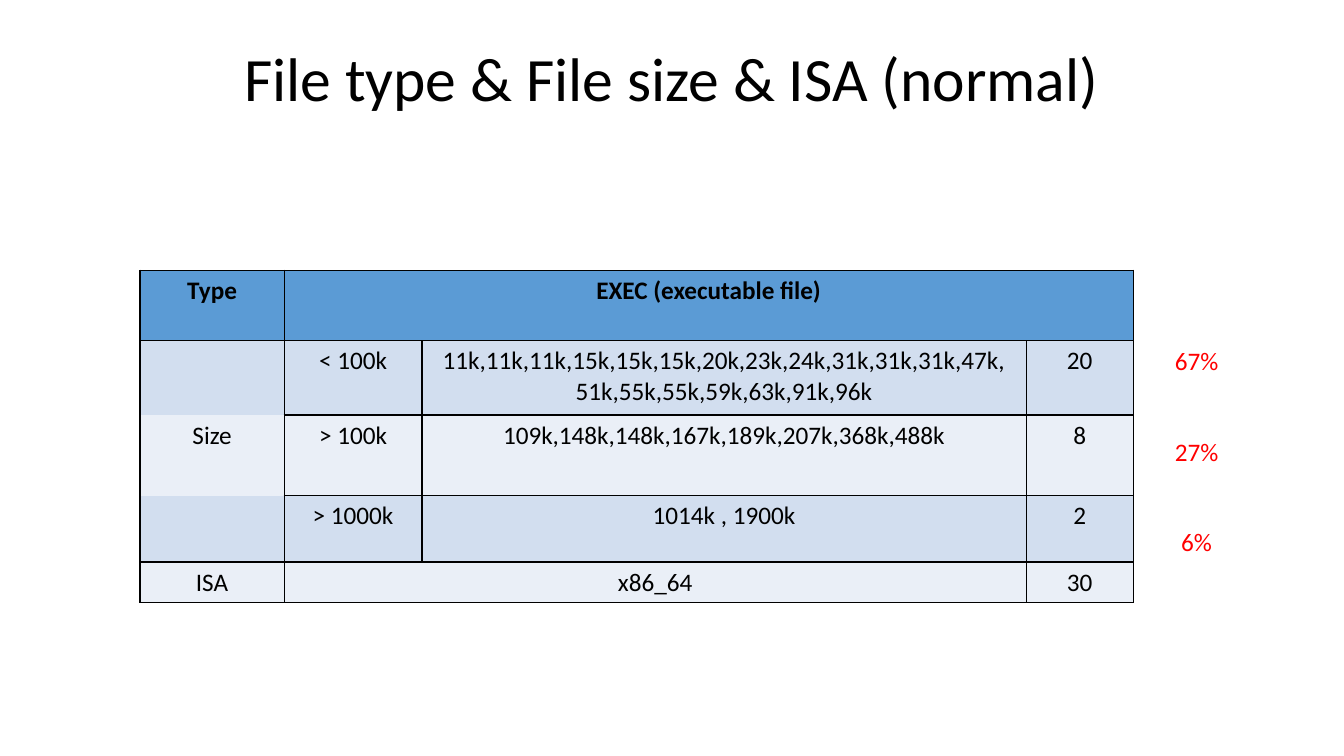
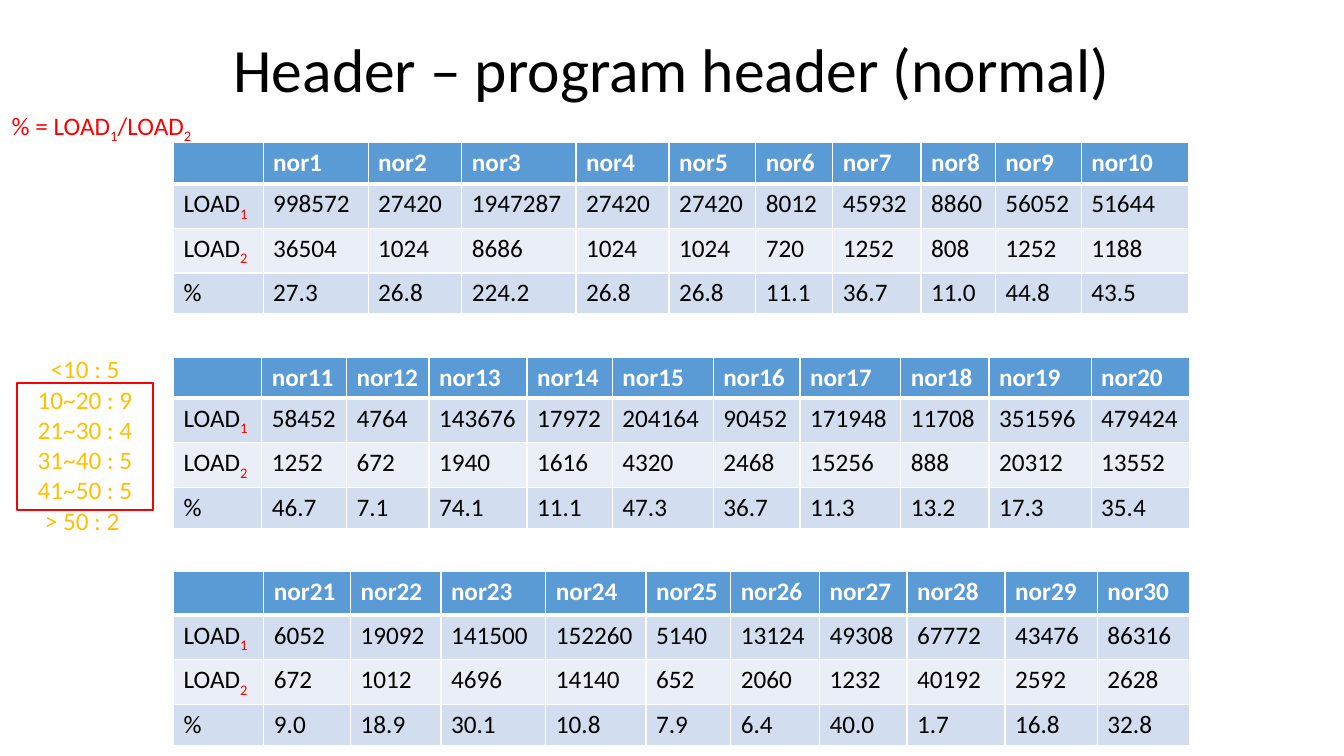
from lxml.etree import SubElement
from pptx import Presentation
from pptx.dml.color import RGBColor
from pptx.enum.shapes import MSO_SHAPE
from pptx.enum.text import MSO_ANCHOR, PP_ALIGN
from pptx.oxml.ns import qn
from pptx.util import Pt

FONT = "Calibri"
BLACK, WHITE, RED, GOLD = "000000", "FFFFFF", "FF0000", "FFC000"
BLUE, DARK, LIGHT = "5B9BD5", "D2DEEF", "EAEFF7"

SIZES = [
    ["Type", "EXEC (executable file)", "", ""],
    ["", "< 100k", "11k,11k,11k,15k,15k,15k,20k,23k,24k,31k,31k,31k,47k, "
     "51k,55k,55k,59k,63k,91k,96k", "20"],
    ["Size", "> 100k", "109k,148k,148k,167k,189k,207k,368k,488k", "8"],
    ["", "> 1000k", "1014k , 1900k", "2"],
    ["ISA", "x86_64", "", "30"],
]
SPANS = [((0, 1), (0, 3)), ((4, 1), (4, 2))]
OPEN = {1: "LRT", 2: "LR", 3: "LRB"}
SHARES = ["67%", "27%", "6%"]

LOADS = [
    {"cols": [64, 75, 67, 81.5, 66.5, 62, 55, 63, 53, 61.5, 77],
     "rows": [29.4, 29.4, 29.4, 29.4],
     "data": ["998572 27420 1947287 27420 27420 8012 45932 8860 56052 51644",
              "36504 1024 8686 1024 1024 720 1252 808 1252 1188",
              "27.3 26.8 224.2 26.8 26.8 11.1 36.7 11.0 44.8 43.5"]},
    {"cols": [63, 60.5, 59, 70, 61, 72, 62, 72, 63, 73, 70.5],
     "rows": [29.4, 29.4, 29.4, 29.4],
     "data": ["58452 4764 143676 17972 204164 90452 171948 11708 351596 479424",
              "1252 672 1940 1616 4320 2468 15256 888 20312 13552",
              "46.7 7.1 74.1 11.1 47.3 36.7 11.3 13.2 17.3 35.4"]},
    {"cols": [64.5, 62, 64.5, 75, 71.5, 60.5, 63.5, 62.5, 70, 66, 66],
     "rows": [31.5, 29.4, 29.4, 29.4],
     "data": ["6052 19092 141500 152260 5140 13124 49308 67772 43476 86316",
              "672 1012 4696 14140 652 2060 1232 40192 2592 2628",
              "9.0 18.9 30.1 10.8 7.9 6.4 40.0 1.7 16.8 32.8"]},
]
LABELS = [[("LOAD", BLACK), ("1", RED, True)],
          [("LOAD", BLACK), ("2", RED, True)],
          [("%", BLACK)]]
RATIO = [("% = LOAD", RED), ("1", RED, True), ("/LOAD", RED), ("2", RED, True)]
BINS = ["<10 : 5", "10~20 : 9", "21~30 : 4", "31~40 : 5", "41~50 : 5", "> 50 : 2 "]


def color(text):
    return RGBColor.from_string(text)


def write(para, runs, size=18, bold=False, align=PP_ALIGN.CENTER):
    para.alignment = align
    for text, tint, *sub in runs:
        run = para.add_run()
        run.text = text
        font = run.font
        font.name, font.size, font.bold = FONT, Pt(size), bold
        font.color.rgb = color(tint)
        if sub:
            run._r.get_or_add_rPr().set("baseline", "-25000")


def add_text(slide, box, lines, size=18, gap=0, lead=None):
    frame = slide.shapes.add_textbox(*map(Pt, box)).text_frame
    frame.word_wrap = True
    frame.vertical_anchor = MSO_ANCHOR.MIDDLE
    frame.margin_left = frame.margin_right = 0
    frame.margin_top = frame.margin_bottom = 0
    for i, runs in enumerate(lines):
        para = frame.add_paragraph() if i else frame.paragraphs[0]
        if i and gap:
            para.space_before = Pt(gap)
        if lead:
            para.line_spacing = lead
        write(para, runs, size)


def add_title(slide, text, top):
    add_text(slide, (66, top, 828, 104), [[(text, BLACK)]], 44, lead=0.9)


def add_grid(slide, left, top, cols, rows):
    box = map(Pt, (left, top, sum(cols), sum(rows)))
    grid = slide.shapes.add_table(len(rows), len(cols), *box).table
    grid.first_row = grid.horz_banding = False
    for col, width in zip(grid.columns, cols):
        col.width = Pt(width)
    for row, height in zip(grid.rows, rows):
        row.height = Pt(height)
    return grid


def paint(cell, row, tint, sides="LRTB", thick=""):
    props = cell._tc.get_or_add_tcPr()
    for side in "LRTB":
        width = 3 if side in thick else 1
        line = SubElement(props, qn("a:ln" + side), w=str(Pt(width)))
        if side in sides:
            fill = SubElement(line, qn("a:solidFill"))
            SubElement(fill, qn("a:srgbClr"), val=tint)
        else:
            SubElement(line, qn("a:noFill"))
    cell.fill.solid()
    cell.fill.fore_color.rgb = color((DARK if row % 2 else LIGHT) if row else BLUE)


def build_sizes(slide):
    add_title(slide, "File type & File size & ISA (normal)", 6)
    grid = add_grid(slide, 100, 193, [103, 98.5, 431.5, 76.5],
                    [50.5, 53, 57.5, 47.5, 28.8])
    for r, texts in enumerate(SIZES):
        for c, text in enumerate(texts):
            cell = grid.cell(r, c)
            paint(cell, r, BLACK, "LRTB" if c else OPEN.get(r, "LRTB"))
            if text:
                write(cell.text_frame.paragraphs[0], [(text, BLACK)], bold=r == 0)
    for start, end in SPANS:
        grid.cell(*start).merge(grid.cell(*end))
    add_text(slide, (824.5, 243.5, 60.5, 157.5), [[(s, RED)] for s in SHARES], gap=43)


def build_loads(slide):
    add_title(slide, "Header – program header (normal)", 0)
    for i, part in enumerate(LOADS):
        grid = add_grid(slide, 124, 102 + 153 * i, part["cols"], part["rows"])
        names = [f"nor{10 * i + n}" for n in range(1, 11)]
        lines = [[[]] + [[(name, WHITE)] for name in names]]
        for label, data in zip(LABELS, part["data"]):
            lines.append([label] + [[(value, BLACK)] for value in data.split()])
        for r, line in enumerate(lines):
            for c, runs in enumerate(line):
                cell = grid.cell(r, c)
                paint(cell, r, WHITE, thick={0: "B", 1: "T"}.get(r, ""))
                write(cell.text_frame.paragraphs[0], runs, bold=r == 0,
                      align=PP_ALIGN.LEFT)
    add_text(slide, (12, 227, 97.5, 181), [[(b, GOLD)] for b in BINS])
    frame = slide.shapes.add_shape(MSO_SHAPE.RECTANGLE, Pt(12), Pt(273.5),
                                   Pt(97.5), Pt(90.5))
    frame.shadow.inherit = False
    frame.fill.background()
    frame.line.color.rgb = color(RED)
    frame.line.width = Pt(1.5)
    add_text(slide, (0, 73.5, 145, 35), [RATIO])


def main():
    deck = Presentation()
    deck.slide_width, deck.slide_height = Pt(960), Pt(540)
    for build in (build_sizes, build_loads):
        build(deck.slides.add_slide(deck.slide_layouts[6]))
    deck.save("out.pptx")


if __name__ == "__main__":
    main()
